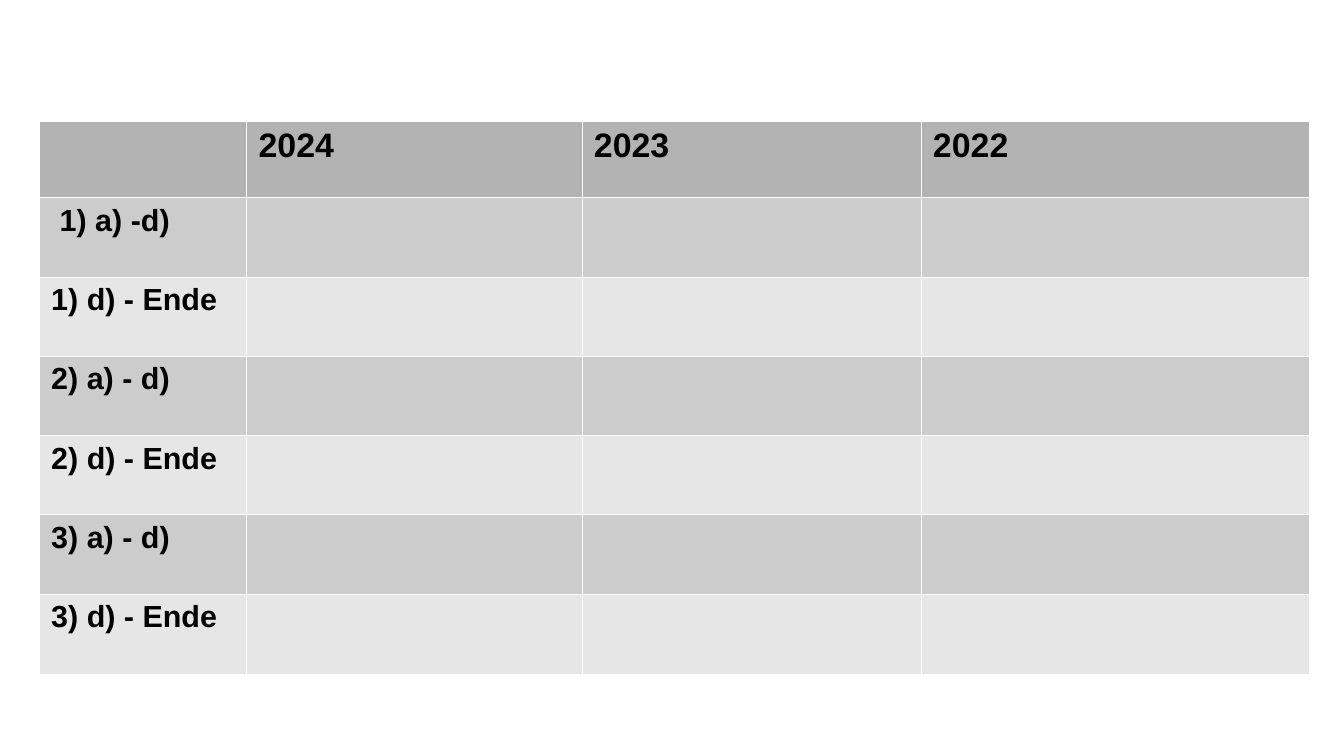
from lxml import etree
from pptx import Presentation
from pptx.dml.color import RGBColor
from pptx.oxml.ns import qn
from pptx.util import Inches, Pt

COLORS = {"header": "B3B3B3", "odd": "CCCCCC", "even": "E6E6E6",
          "border": "FFFFFF", "text": "000000"}
BORDER_WIDTH = Pt(0.06)
YEARS = ["2024", "2023", "2022"]
TASKS = ["1) a) -d)", "1) d) - Ende", "2) a) - d)", "2) d) - Ende",
         "3) a) - d)", "3) d) - Ende"]
COLUMN_WIDTHS = [1.7, 2.75, 2.78, 3.18]
ROW_HEIGHTS = [0.63] + [0.65] * 5 + [0.66]


def add_text(cell, text, size, bold=True):
    run = cell.text_frame.paragraphs[0].add_run()
    run.text = text
    run.font.name = "Arial"
    run.font.size = Pt(size)
    run.font.bold = bold
    run.font.color.rgb = RGBColor.from_string(COLORS["text"])


def add_borders(cell):
    properties = cell._tc.get_or_add_tcPr()
    for side in ("a:lnL", "a:lnR", "a:lnT", "a:lnB"):
        line = etree.SubElement(properties, qn(side), w=str(BORDER_WIDTH))
        fill = etree.SubElement(line, qn("a:solidFill"))
        etree.SubElement(fill, qn("a:srgbClr"), val=COLORS["border"])


prs = Presentation()
prs.slide_width = Inches(11.02)
prs.slide_height = Inches(6.2)
slide = prs.slides.add_slide(prs.slide_layouts[6])

schedule = slide.shapes.add_table(
    len(ROW_HEIGHTS), len(COLUMN_WIDTHS), Inches(0.32), Inches(0.99),
    Inches(sum(COLUMN_WIDTHS)), Inches(sum(ROW_HEIGHTS))).table
for column, width in zip(schedule.columns, COLUMN_WIDTHS):
    column.width = Inches(width)

for index, (row, height) in enumerate(zip(schedule.rows, ROW_HEIGHTS)):
    row.height = Inches(height)
    shade = "header" if index == 0 else "odd" if index % 2 else "even"
    for cell in row.cells:
        add_borders(cell)
        cell.fill.solid()
        cell.fill.fore_color.rgb = RGBColor.from_string(COLORS[shade])
        cell.margin_left = cell.margin_right = Inches(0.1)
        cell.margin_top = cell.margin_bottom = Inches(0.05)

for column_index, year in enumerate(YEARS, 1):
    add_text(schedule.cell(0, column_index), year, 20)

add_text(schedule.cell(1, 0), " ", 18, bold=False)
for row_index, task in enumerate(TASKS, 1):
    add_text(schedule.cell(row_index, 0), task, 18)

prs.save("out.pptx")
